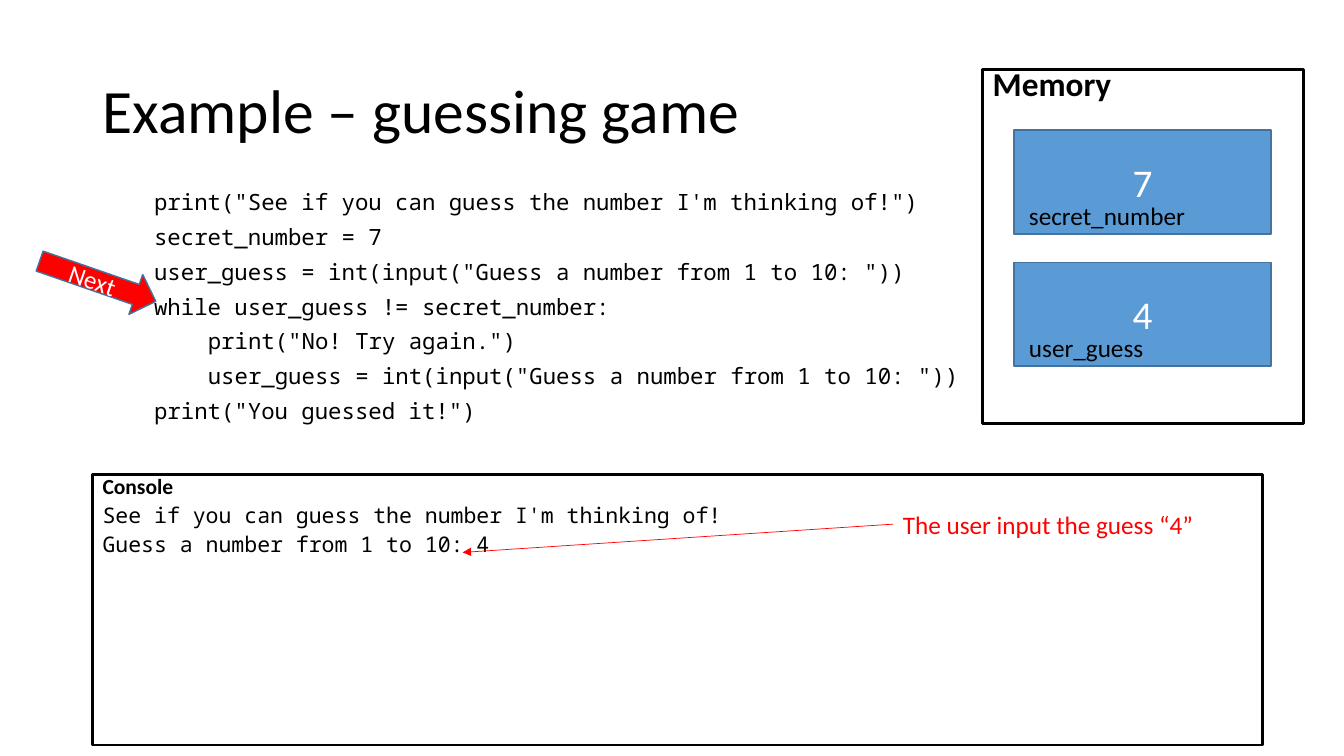
from dataclasses import dataclass

from lxml.etree import SubElement
from pptx import Presentation
from pptx.dml.color import RGBColor
from pptx.enum.shapes import MSO_CONNECTOR, MSO_SHAPE
from pptx.enum.text import MSO_ANCHOR as Anchor, PP_ALIGN as Align
from pptx.oxml.ns import qn
from pptx.shapes.autoshape import Shape
from pptx.slide import Slide
from pptx.util import Pt


@dataclass(frozen=True)
class Theme:
    """Colours, fonts and type sizes of the slide."""
    black: str = "000000"
    white: str = "FFFFFF"
    red: str = "FF0000"
    blue: str = "5B9BD5"
    outline: str = "43739E"
    sans: str = "Calibri"
    mono: str = "Noto Sans Mono"
    title: float = 44
    value: float = 28
    memory: float = 23.8
    label: float = 18
    code: float = 16
    console: float = 15.4


THEME = Theme()


@dataclass(frozen=True)
class Box:
    """Place and size in points."""
    left: float
    top: float
    width: float
    height: float

    def lengths(self) -> tuple:
        """Return the four values as lengths."""
        return Pt(self.left), Pt(self.top), Pt(self.width), Pt(self.height)


@dataclass(frozen=True)
class Line:
    """One paragraph and its look."""
    text: str
    size: float
    color: str = THEME.black
    font: str = THEME.sans
    bold: bool = False
    align: Align = Align.LEFT
    spacing: float = 1.0
    before: float = 0
    indent: float = 0


@dataclass(frozen=True)
class Variable:
    """A named value held in memory."""
    name: str
    value: str
    label_width: float


def write(shape: Shape, lines: list[Line], anchor: Anchor = Anchor.TOP,
          wrap: bool = True) -> None:
    """Fill a shape with formatted paragraphs."""
    frame = shape.text_frame
    frame.word_wrap = wrap
    frame.vertical_anchor = anchor
    for index, line in enumerate(lines):
        paragraph = frame.add_paragraph() if index else frame.paragraphs[0]
        paragraph.text = line.text
        paragraph.alignment = line.align
        paragraph.line_spacing = line.spacing
        paragraph.space_before = Pt(line.before)
        if line.indent:
            paragraph._p.get_or_add_pPr().set("marL", str(Pt(line.indent)))
        font = paragraph.font
        font.name, font.size, font.bold = line.font, Pt(line.size), line.bold
        font.color.rgb = RGBColor.from_string(line.color)


def add_text(slide: Slide, box: Box, lines: list[Line], wrap: bool = True) -> None:
    """Add a text box."""
    write(slide.shapes.add_textbox(*box.lengths()), lines, wrap=wrap)


def add_block(slide: Slide, kind: MSO_SHAPE, box: Box, lines: list[Line],
              outline: str, weight: float, fill: str | None = None,
              anchor: Anchor = Anchor.TOP) -> Shape:
    """Add an outlined shape, hollow unless a fill is given."""
    block = slide.shapes.add_shape(kind, *box.lengths())
    block.shadow.inherit = False
    if fill:
        block.fill.solid()
        block.fill.fore_color.rgb = RGBColor.from_string(fill)
    else:
        block.fill.background()
    block.line.color.rgb = RGBColor.from_string(outline)
    block.line.width = Pt(weight)
    write(block, lines, anchor)
    return block


def add_pointer(slide: Slide, start: tuple[float, float],
                end: tuple[float, float]) -> None:
    """Add a thin red arrow from start to end."""
    pointer = slide.shapes.add_connector(
        MSO_CONNECTOR.STRAIGHT, *(Pt(value) for value in start + end))
    pointer.line.color.rgb = RGBColor.from_string(THEME.red)
    pointer.line.width = Pt(0.5)
    SubElement(pointer.line._get_or_add_ln(), qn("a:tailEnd"), type="triangle")
    SubElement(pointer._element.spPr, qn("a:effectLst"))


def add_variable(slide: Slide, variable: Variable, top: float) -> None:
    """Add a memory cell with its value and name."""
    left = 724.3
    value = Line(variable.value, THEME.value, THEME.white, align=Align.CENTER)
    add_block(slide, MSO_SHAPE.RECTANGLE, Box(left, top, 183.6, 74.2), [value],
              THEME.outline, 1, THEME.blue, Anchor.MIDDLE)
    add_text(slide, Box(left + 3.6, top + 46.4, variable.label_width, 29),
             [Line(variable.name, THEME.label)], wrap=False)


CODE = [
    (0, 'print("See if you can guess the number I\'m thinking of!")'),
    (0, "secret_number = 7"),
    (0, 'user_guess = int(input("Guess a number from 1 to 10: "))'),
    (0, "while user_guess != secret_number:"),
    (1, 'print("No! Try again.")'),
    (1, 'user_guess = int(input("Guess a number from 1 to 10: "))'),
    (0, 'print("You guessed it!")'),
]
OUTPUT = ["See if you can guess the number I'm thinking of!",
          "Guess a number from 1 to 10: 4"]
VARIABLES = [Variable("secret_number", "7", 127.4), Variable("user_guess", "4", 97.2)]
CODE_INDENT = 4 * 0.6 * THEME.code


def build() -> None:
    """Build and save the slide."""
    deck = Presentation()
    deck.slide_width, deck.slide_height = Pt(960), Pt(540)
    slide = deck.slides.add_slide(deck.slide_layouts[5])

    title = slide.shapes.title
    title.left, title.top, title.width, title.height = Box(66, 28.8, 828, 104.4).lengths()
    write(title, [Line("Example – guessing game", THEME.title, spacing=0.9)],
          Anchor.MIDDLE)

    add_text(slide, Box(103, 133.2, 828, 342.7),
             [Line(text, THEME.code, font=THEME.mono, spacing=0.9, before=7.6,
                   indent=level * CODE_INDENT) for level, text in CODE])

    console = [Line("Console", THEME.console, bold=True, spacing=0.7)]
    console += [Line(text, THEME.console, font=THEME.mono, spacing=0.7, before=8)
                for text in OUTPUT]
    add_block(slide, MSO_SHAPE.RECTANGLE, Box(66.2, 339.1, 835.9, 193), console,
              THEME.black, 2)

    next_step = add_block(
        slide, MSO_SHAPE.RIGHT_ARROW, Box(25.9, 185.8, 87.8, 30.2),
        [Line("Next", THEME.label, THEME.white, align=Align.CENTER)],
        THEME.outline, 1, THEME.red, Anchor.MIDDLE)
    next_step.rotation = 19.1

    add_text(slide, Box(637.9, 360, 247.7, 29),
             [Line("The user input the guess “4”", THEME.label, THEME.red)])
    add_pointer(slide, (637.9, 374.4), (330.5, 394.6))

    add_block(slide, MSO_SHAPE.RECTANGLE, Box(702, 49.7, 229, 252.7),
              [Line("Memory", THEME.memory, bold=True, spacing=0.7)],
              THEME.black, 2)
    for index, variable in enumerate(VARIABLES):
        add_variable(slide, variable, 92.9 + index * 94.5)

    deck.save("out.pptx")


build()
